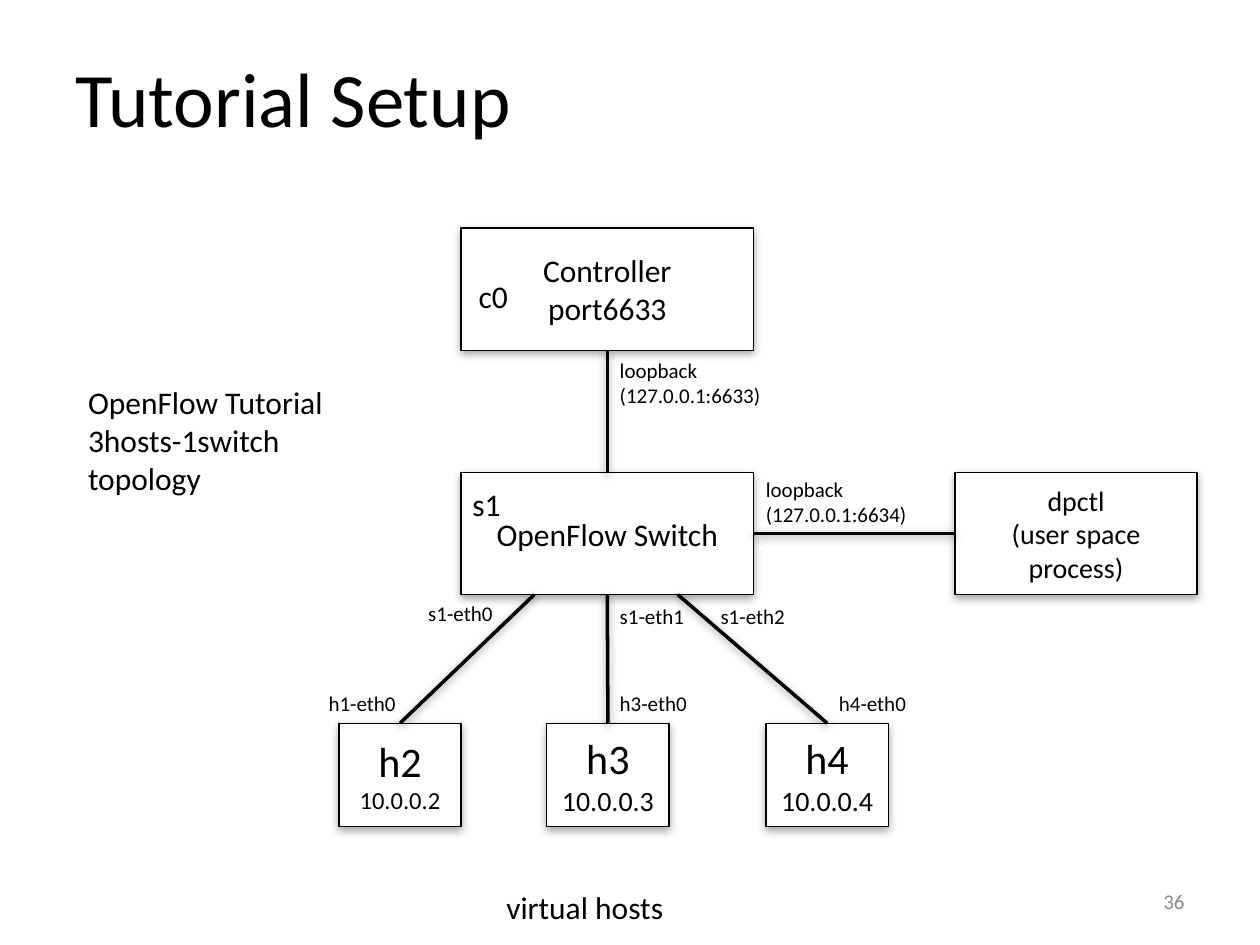
from lxml.etree import SubElement as Sub
from pptx import Presentation
from pptx.dml.color import RGBColor as Rgb
from pptx.enum.shapes import MSO_CONNECTOR as Conn, MSO_SHAPE as Shape
from pptx.enum.text import MSO_ANCHOR as Anchor, MSO_AUTO_SIZE as Auto, PP_ALIGN as Align
from pptx.oxml.ns import qn
from pptx.util import Inches, Pt

HUE = {"ink": "000000", "paper": "FFFFFF", "gray": "898989"}
FACE = "Calibri"
TITLE = "Tutorial Setup"

WIDE, SIDE, HOST = (2.32, 0.97), (1.92, 0.97), (0.97, 0.82)
NODES = {
    "c0": (3.66, 1.81, WIDE, [("Controller", 18), ("port6633", 18)]),
    "s1": (3.66, 3.75, WIDE, [("OpenFlow Switch", 18)]),
    "dpctl": (7.58, 3.75, SIDE, [("dpctl", 16), ("(user space process)", 16)]),
    "h2": (2.69, 5.74, HOST, [("h2", 24), ("10.0.0.2", 14)]),
    "h3": (4.34, 5.74, HOST, [("h3", 24), ("10.0.0.3", 16)]),
    "h4": (6.08, 5.74, HOST, [("h4", 24), ("10.0.0.4", 16)]),
}
TOP, LEFT, BOTTOM, RIGHT = range(4)
LINKS = [
    ("h2", TOP, (4.24, 4.72), None),
    ("h3", TOP, "s1", BOTTOM),
    ("h4", TOP, (5.38, 4.72), None),
    ("dpctl", LEFT, "s1", RIGHT),
    ("s1", TOP, "c0", BOTTOM),
]
NOTES = [
    (3.7, 2.15, 0.44, 0.4, 18, ["c0"]),
    (3.65, 3.8, 0.43, 0.4, 18, ["s1"]),
    (3.92, 7, 1.45, 0.4, 18, ["virtual hosts"]),
    (0.6, 2.99, 2.09, 1, 18, ["OpenFlow Tutorial", "3hosts-1switch", "topology"]),
    (4.82, 2.79, 1.32, 0.5, 12, ["loopback", "(127.0.0.1:6633)"]),
    (5.98, 3.73, 1.32, 0.5, 12, ["loopback", "(127.0.0.1:6634)"]),
    (3.3, 4.72, 0.71, 0.3, 12, ["s1-eth0"]),
    (4.82, 4.74, 0.71, 0.3, 12, ["s1-eth1"]),
    (5.62, 4.74, 0.71, 0.3, 12, ["s1-eth2"]),
    (2.51, 5.43, 0.73, 0.3, 12, ["h1-eth0"]),
    (4.82, 5.43, 0.73, 0.3, 12, ["h3-eth0"]),
    (6.56, 5.43, 0.73, 0.3, 12, ["h4-eth0"]),
]
PAGE = (7.17, 6.95, 2.33, 0.4)


def tint(name):
    return Rgb.from_string(HUE[name])


def put(item, **form):
    for key, value in form.items():
        setattr(item, key, value)


def write(frame, rows, align=Align.LEFT, hue="ink"):
    for i, (words, size) in enumerate(rows):
        para = frame.add_paragraph() if i else frame.paragraphs[0]
        para.alignment = align
        run = para.add_run()
        run.text = words
        put(run.font, name=FACE, size=Pt(size))
        run.font.color.rgb = tint(hue)


def shade(item, alpha, dist):
    props = item._element.spPr
    box = props.find(qn("a:effectLst"))
    if box is None:
        box = Sub(props, qn("a:effectLst"))
    drop = Sub(box, qn("a:outerShdw"), blurRad=str(Pt(5)), dist=str(Pt(dist)),
               dir=str(90 * 60000), rotWithShape="0")
    color = Sub(drop, qn("a:srgbClr"), val=HUE["ink"])
    Sub(color, qn("a:alpha"), val=str(alpha * 1000))


def stroke(line, width):
    line.color.rgb = tint("ink")
    line.width = Pt(width)


def add_node(slide, x, y, size, rows):
    node = slide.shapes.add_shape(Shape.RECTANGLE, *map(Inches, (x, y, *size)))
    node.fill.solid()
    node.fill.fore_color.rgb = tint("paper")
    stroke(node.line, 0.75)
    node.shadow.inherit = False
    shade(node, 35, 1.8)
    put(node.text_frame, word_wrap=True, vertical_anchor=Anchor.MIDDLE)
    write(node.text_frame, rows, Align.CENTER)
    return node


def add_link(slide, nodes, start, side, end, port):
    spot = (0, 0) if port is not None else end
    link = slide.shapes.add_connector(Conn.STRAIGHT, 0, 0, *map(Inches, spot))
    link.begin_connect(nodes[start], side)
    if port is not None:
        link.end_connect(nodes[end], port)
    stroke(link.line, 2)
    shade(link, 38, 1.6)


def add_note(slide, x, y, w, h, size, rows):
    frame = slide.shapes.add_textbox(*map(Inches, (x, y, w, h))).text_frame
    put(frame, word_wrap=False, auto_size=Auto.SHAPE_TO_FIT_TEXT)
    write(frame, [(row, size) for row in rows])


def main():
    deck = Presentation()
    put(deck, slide_width=Inches(10), slide_height=Inches(7.5))
    slide = deck.slides.add_slide(deck.slide_layouts[5])

    title = slide.shapes.title
    put(title, left=Inches(0.5), top=Inches(0.27), width=Inches(9), height=Inches(1))
    title.text_frame.vertical_anchor = Anchor.MIDDLE
    write(title.text_frame, [(TITLE, 44)])

    nodes = {key: add_node(slide, *node) for key, node in NODES.items()}
    for link in LINKS:
        add_link(slide, nodes, *link)
    for note in NOTES:
        add_note(slide, *note)

    page = slide.shapes.add_textbox(*map(Inches, PAGE)).text_frame
    put(page, word_wrap=True, vertical_anchor=Anchor.MIDDLE)
    write(page, [("36", 12)], Align.RIGHT, "gray")
    deck.save("out.pptx")


if __name__ == "__main__":
    main()
